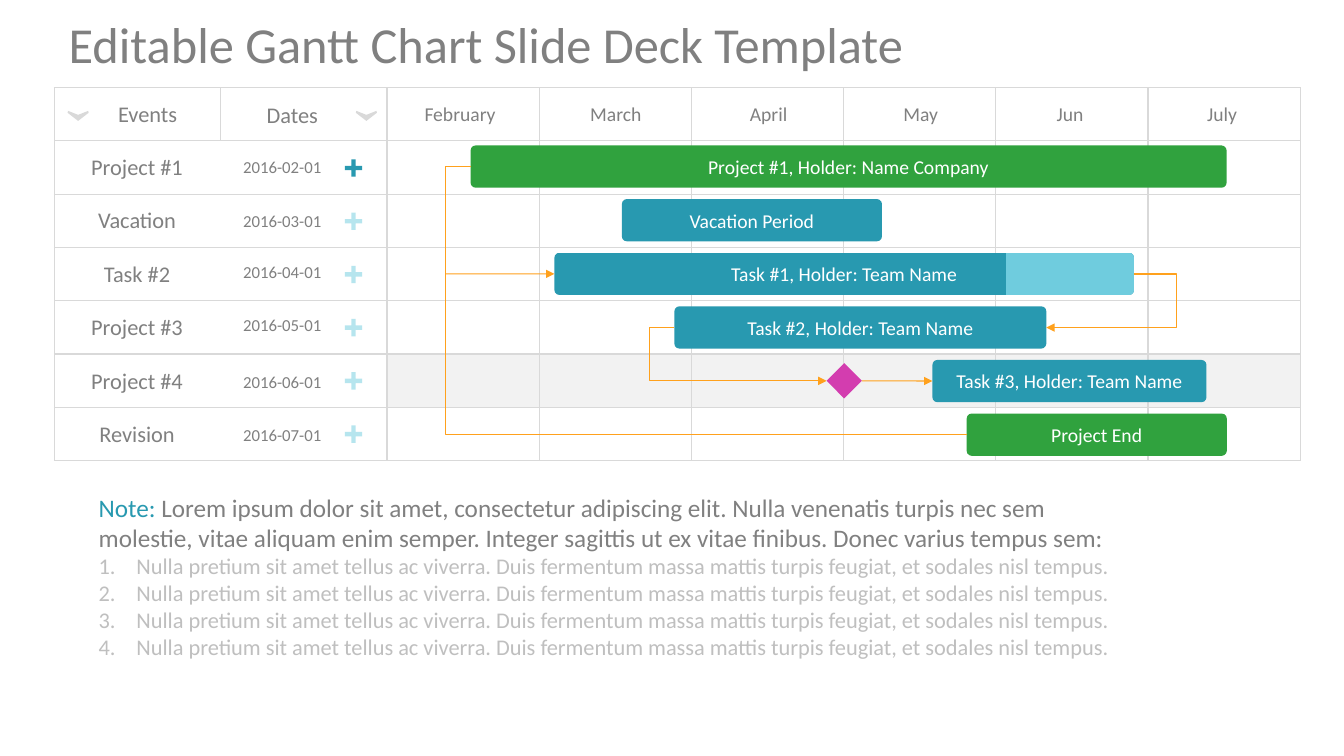
from lxml.etree import SubElement
from pptx import Presentation
from pptx.dml.color import RGBColor
from pptx.enum.shapes import MSO_CONNECTOR, MSO_SHAPE
from pptx.enum.text import MSO_ANCHOR, MSO_AUTO_SIZE, PP_ALIGN
from pptx.oxml.ns import qn
from pptx.util import Pt

COLORS = {"grey": "808080", "light": "BFBFBF", "rule": "D9D9D9", "band": "F2F2F2",
          "teal": "2899B0", "sky": "6FCCDE", "green": "30A23E", "pink": "D33DAF",
          "orange": "FFA11D", "white": "FFFFFF"}


def write(p, text, *, size, color="grey", align=None):
    p.alignment = align
    r = p.add_run()
    r.text = text
    r.font.name = "Calibri"
    r.font.size = Pt(size)
    r.font.color.rgb = RGBColor.from_string(COLORS[color])


def paint(s, color):
    s.shadow.inherit = False
    s.line.fill.background()
    s.fill.solid()
    s.fill.fore_color.rgb = RGBColor.from_string(COLORS[color])


prs = Presentation()
prs.slide_width, prs.slide_height = Pt(960), Pt(540)
shapes = prs.slides.add_slide(prs.slide_layouts[6]).shapes

table = shapes.add_table(7, 8, Pt(38.9), Pt(62.6), Pt(889.9), Pt(266.4)).table
table.first_row = table.horz_banding = False
for i, col in enumerate(table.columns):
    col.width = Pt(118.8 if i < 2 else 108.72)
for i, row in enumerate(table.rows):
    row.height = Pt(38.06)
    if i:
        table.cell(i, 0).merge(table.cell(i, 1))
    for j, cell in enumerate(row.cells):
        tcPr = cell._tc.get_or_add_tcPr()
        for side in ("a:lnL", "a:lnR", "a:lnT", "a:lnB"):
            ln = SubElement(tcPr, qn(side), w=str(Pt(1)))
            SubElement(SubElement(ln, qn("a:solidFill")), qn("a:srgbClr"), val=COLORS["rule"])
        if i == 5 and j > 1:
            cell.fill.solid()
            cell.fill.fore_color.rgb = RGBColor.from_string(COLORS["band"])
        else:
            cell.fill.background()

labels = [("Events", 54, 67.7, 103, 26.6, 16), ("Dates", 157, 68.4, 103.7, 26.6, 16)]
months = [("February", 328.7), ("March", 439.9), ("April", 549),
          ("May", 657.7), ("Jun", 764.3), ("July", 873)]
for month, center in months:
    labels.append((month, center - 51.5, 69.1, 103, 24.5, 14))

events = [("Project #1", "2016-02-01", 108.7), ("Vacation", "2016-03-01", 146.9),
          ("Task #2", "2016-04-01", 183.6), ("Project #3", "2016-05-01", 221),
          ("Project #4", "2016-06-01", 262.1), ("Revision", "2016-07-01", 299.5)]
for i, (event, date, date_top) in enumerate(events):
    labels.append((event, 38.9, 105.8 + 38.16 * i, 118, 26.6, 16))
    labels.append((date, 157, date_top, 89.3, 21.6, 12))
    s = shapes.add_shape(MSO_SHAPE.CROSS, Pt(246.3), Pt(113.8 + 38.02 * i), Pt(12.4), Pt(12.4))
    s.adjustments[0] = 0.375
    paint(s, "sky" if i else "teal")
    if i:
        SubElement(s.fill._xPr.find(".//" + qn("a:srgbClr")), qn("a:alpha"), val="50000")

for text, x, y, w, h, size in labels:
    tf = shapes.add_textbox(Pt(x), Pt(y), Pt(w), Pt(h)).text_frame
    tf.word_wrap = True
    tf.auto_size = MSO_AUTO_SIZE.SHAPE_TO_FIT_TEXT
    write(tf.paragraphs[0], text, size=size, align=PP_ALIGN.CENTER)

for x in (55.8, 261.7):
    outline = shapes.build_freeform(Pt(x), Pt(86.4))
    outline.add_line_segments([(Pt(x + dx), Pt(y)) for dx, y in (
        (7.5, 80.6), (7.2, 79.2), (0, 82.1), (-7.2, 79.2), (-7.5, 80.6))])
    paint(outline.convert_to_shape(), "rule")

bars = []
for i, (text, x, w, color) in enumerate([
        ("Project #1, Holder: Name Company", 336.2, 540, "green"),
        ("Vacation Period", 444.2, 185.8, "teal"),
        ("Task #1, Holder: Team Name", 396, 414, "teal"),
        ("Task #2, Holder: Team Name", 481.7, 265.7, "teal"),
        ("Task #3, Holder: Team Name", 666, 195.8, "teal"),
        ("Project End", 690.5, 185.8, "green")]):
    s = shapes.add_shape(MSO_SHAPE.ROUNDED_RECTANGLE, Pt(x), Pt(103.9 + 38.3 * i), Pt(w), Pt(30.2))
    s.adjustments[0] = 0.119
    paint(s, color)
    s.text_frame.vertical_anchor = MSO_ANCHOR.MIDDLE
    write(s.text_frame.paragraphs[0], text, size=14, color="white", align=PP_ALIGN.CENTER)
    bars.append(s)

split = bars[2].fill
split.gradient()
split.gradient_angle = 0
for stop, color in zip(split.gradient_stops, ("teal", "sky")):
    stop.position = 0.78
    stop.color.rgb = RGBColor.from_string(COLORS[color])

milestone = shapes.add_shape(MSO_SHAPE.DIAMOND, Pt(590.4), Pt(259.4), Pt(25.2), Pt(25.2))
paint(milestone, "pink")

links = []
for x1, y1, x2, y2, bend, arrow in [
        (336.2, 119, 690.5, 310.5, -0.051, False),
        (318.2, 195.7, 396, 195.7, None, True),
        (810, 195.7, 747.4, 234, -0.491, True),
        (481.7, 234, 590.4, 272.1, -0.165, True),
        (615.6, 272.1, 666, 272.1, None, True)]:
    kind = MSO_CONNECTOR.ELBOW if bend else MSO_CONNECTOR.STRAIGHT
    s = shapes.add_connector(kind, Pt(x1), Pt(y1), Pt(x2), Pt(y2))
    s.line.color.rgb = RGBColor.from_string(COLORS["orange"])
    s.line.width = Pt(0.75)
    spPr = s._element.spPr
    SubElement(spPr, qn("a:effectLst"))
    if arrow:
        SubElement(spPr.find(qn("a:ln")), qn("a:tailEnd"), type="triangle")
    if bend:
        avLst = spPr.find(qn("a:prstGeom")).find(qn("a:avLst"))
        SubElement(avLst, qn("a:gd"), name="adj1", fmla=f"val {round(bend * 100000)}")
    links.append(s)
links[1].end_connect(bars[2], 1)
links[4].begin_connect(milestone, 3)
links[4].end_connect(bars[4], 1)

tf = shapes.add_textbox(Pt(63.4), Pt(347.8), Pt(751.7), Pt(147.6)).text_frame
tf.word_wrap = True
tf.auto_size = MSO_AUTO_SIZE.SHAPE_TO_FIT_TEXT
write(tf.paragraphs[0], "Note: ", size=18, color="teal")
write(tf.paragraphs[0], "Lorem ipsum dolor sit amet, consectetur adipiscing elit. Nulla venenatis "
      "turpis nec sem molestie, vitae aliquam enim semper. Integer sagittis ut ex vitae finibus. "
      "Donec varius tempus sem:", size=18)
for i in range(4):
    p = tf.add_paragraph()
    pPr = p._p.get_or_add_pPr()
    pPr.set("marL", str(Pt(27)))
    pPr.set("indent", str(-Pt(27)))
    SubElement(pPr, qn("a:buAutoNum"), type="arabicPeriod")
    write(p, "Nulla pretium sit amet tellus ac viverra. Duis fermentum massa mattis turpis "
          "feugiat, et sodales nisl tempus.", size=16, color="light")

tf = shapes.add_textbox(Pt(39.6), Pt(2.9), Pt(864), Pt(56.2)).text_frame
tf.word_wrap = True
tf.vertical_anchor = MSO_ANCHOR.MIDDLE
tf.margin_left = tf.margin_right = Pt(9.4)
tf.margin_top = tf.margin_bottom = Pt(5)
write(tf.paragraphs[0], "Editable Gantt Chart Slide Deck Template", size=36)

prs.save("out.pptx")
